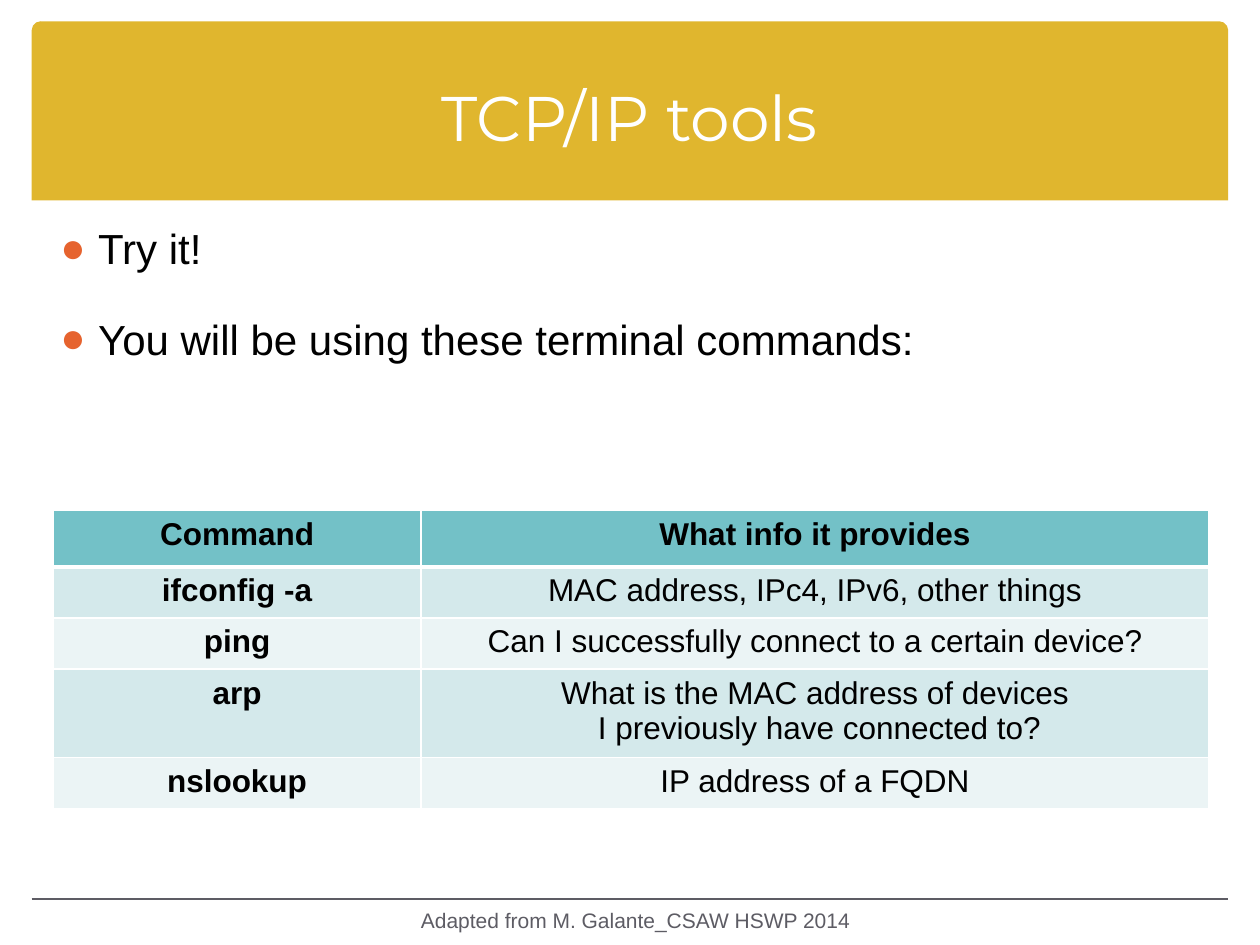
import lxml.etree
import pptx
import pptx.dml.color
import pptx.enum.shapes
import pptx.enum.text
import pptx.oxml.ns
import pptx.util
from pptx.util import Cm

# Content
TITLE = "TCP/IP tools"
BULLETS = ["Try it!", "You will be using these terminal commands:"]
TABLE = [
    ("Command", ["What info it provides"]),
    ("ifconfig -a", ["MAC address, IPc4, IPv6, other things"]),
    ("ping", ["Can I successfully connect to a certain device?"]),
    ("arp", ["What is the MAC address of devices",
             " I previously have connected to?"]),
    ("nslookup", ["IP address of a FQDN"]),
]
FOOTER = "Adapted from M. Galante_CSAW HSWP 2014"

THEME = {
    "banner": "E0B62E", "title": "FFFFFF", "text": "000000",
    "bullet": "E6632E", "muted": "5D5C64", "border": "FFFFFF",
    "header": "73C1C7", "bands": ("D4E9EB", "EBF4F5"),
    "title_font": "Montserrat", "body_font": "Arial",
    "title_size": 36, "body_size": 24, "table_size": 18, "footer_size": 12,
}
MARGIN = 0.64
SLIDE_WIDTH, SLIDE_HEIGHT = 25.4, 19.05
COLUMN_WIDTHS = (7.42, 15.88)
HEADER_HEIGHT, ROW_HEIGHT, TALL_ROW_HEIGHT = 1.14, 1.03, 1.68
CENTER = pptx.enum.text.PP_ALIGN.CENTER
MIDDLE = pptx.enum.text.MSO_ANCHOR.MIDDLE


def color(name):
    return pptx.dml.color.RGBColor.from_string(name)


def add_run(paragraph, text, size, fill, font="body_font", bold=False):
    run = paragraph.add_run()
    run.text = text
    run.font.name = THEME[font]
    run.font.size = pptx.util.Pt(THEME[size])
    run.font.bold = bold
    run.font.color.rgb = color(THEME[fill])


def next_paragraph(text_frame, index):
    return text_frame.add_paragraph() if index else text_frame.paragraphs[0]


def add_text_box(slide, left, top, width, height, anchor=None):
    box = slide.shapes.add_textbox(Cm(left), Cm(top), Cm(width), Cm(height))
    box.text_frame.word_wrap = True
    if anchor is not None:
        box.text_frame.vertical_anchor = anchor
    return box.text_frame


def add_child(parent, tag, **attributes):
    return lxml.etree.SubElement(parent, pptx.oxml.ns.qn(tag), attributes)


def set_bullet(paragraph):
    properties = paragraph._p.get_or_add_pPr()
    properties.set("marL", str(Cm(0.76)))
    properties.set("indent", str(-Cm(0.76)))
    add_child(add_child(properties, "a:buClr"), "a:srgbClr", val=THEME["bullet"])
    add_child(properties, "a:buFont", typeface=THEME["body_font"])
    add_child(properties, "a:buChar", char="●")


def set_borders(cell, header_edge):
    """White grid, with a heavy rule between header and first row."""
    properties = cell._tc.get_or_add_tcPr()
    for position, side in enumerate(("L", "R", "T", "B")):
        points = 3 if side == header_edge else 1
        line = add_child(properties, f"a:ln{side}", w=str(pptx.util.Pt(points)))
        fill = add_child(line, "a:solidFill")
        add_child(fill, "a:srgbClr", val=THEME["border"])
        properties.remove(line)
        properties.insert(position, line)


def add_banner(slide):
    banner = slide.shapes.add_shape(
        pptx.enum.shapes.MSO_SHAPE.ROUND_2_SAME_RECTANGLE,
        Cm(MARGIN), Cm(0.43), Cm(SLIDE_WIDTH - 2 * MARGIN), Cm(3.61))
    banner.adjustments[0], banner.adjustments[1] = 0.05, 0
    banner.shadow.inherit = False
    banner.fill.solid()
    banner.fill.fore_color.rgb = color(THEME["banner"])
    banner.line.fill.background()
    frame = add_text_box(slide, 0.84, 0.76, 23.7, 3.18, MIDDLE)
    frame.paragraphs[0].alignment = CENTER
    add_run(frame.paragraphs[0], TITLE, "title_size", "title", "title_font")


def add_bullets(slide):
    frame = add_text_box(slide, 0.97, 4.37, 23.7, 13.33)
    for index, text in enumerate(BULLETS):
        paragraph = next_paragraph(frame, index)
        paragraph.space_before = pptx.util.Pt(22.7 if index else 4.8)
        set_bullet(paragraph)
        add_run(paragraph, text, "body_size", "text")


def add_command_table(slide):
    heights = [HEADER_HEIGHT] + [
        TALL_ROW_HEIGHT if len(lines) > 1 else ROW_HEIGHT for _, lines in TABLE[1:]]
    table = slide.shapes.add_table(
        len(TABLE), len(COLUMN_WIDTHS), Cm(1.07), Cm(10.29),
        Cm(sum(COLUMN_WIDTHS)), Cm(sum(heights))).table
    for column, width in zip(table.columns, COLUMN_WIDTHS):
        column.width = Cm(width)
    for row, (command, description) in enumerate(TABLE):
        table.rows[row].height = Cm(heights[row])
        fill = THEME["bands"][(row - 1) % 2] if row else THEME["header"]
        for column, lines in enumerate(([command], description)):
            cell = table.cell(row, column)
            cell.fill.solid()
            cell.fill.fore_color.rgb = color(fill)
            set_borders(cell, {0: "B", 1: "T"}.get(row))
            for index, text in enumerate(lines):
                paragraph = next_paragraph(cell.text_frame, index)
                paragraph.alignment = CENTER
                add_run(paragraph, text, "table_size", "text",
                        bold=row == 0 or column == 0)


def add_footer(slide):
    rule = slide.shapes.add_connector(
        pptx.enum.shapes.MSO_CONNECTOR.STRAIGHT,
        Cm(MARGIN), Cm(18.13), Cm(SLIDE_WIDTH - MARGIN), Cm(18.13))
    rule.line.color.rgb = color(THEME["muted"])
    rule.line.width = pptx.util.Pt(1)
    add_child(rule._element.spPr, "a:effectLst")
    frame = add_text_box(slide, 8.05, 18.11, 9.53, 0.89, MIDDLE)
    frame.paragraphs[0].alignment = CENTER
    add_run(frame.paragraphs[0], FOOTER, "footer_size", "muted")


def main():
    presentation = pptx.Presentation()
    presentation.slide_width = Cm(SLIDE_WIDTH)
    presentation.slide_height = Cm(SLIDE_HEIGHT)
    slide = presentation.slides.add_slide(presentation.slide_layouts[6])
    add_banner(slide)
    add_bullets(slide)
    add_command_table(slide)
    add_footer(slide)
    presentation.save("out.pptx")


if __name__ == "__main__":
    main()
